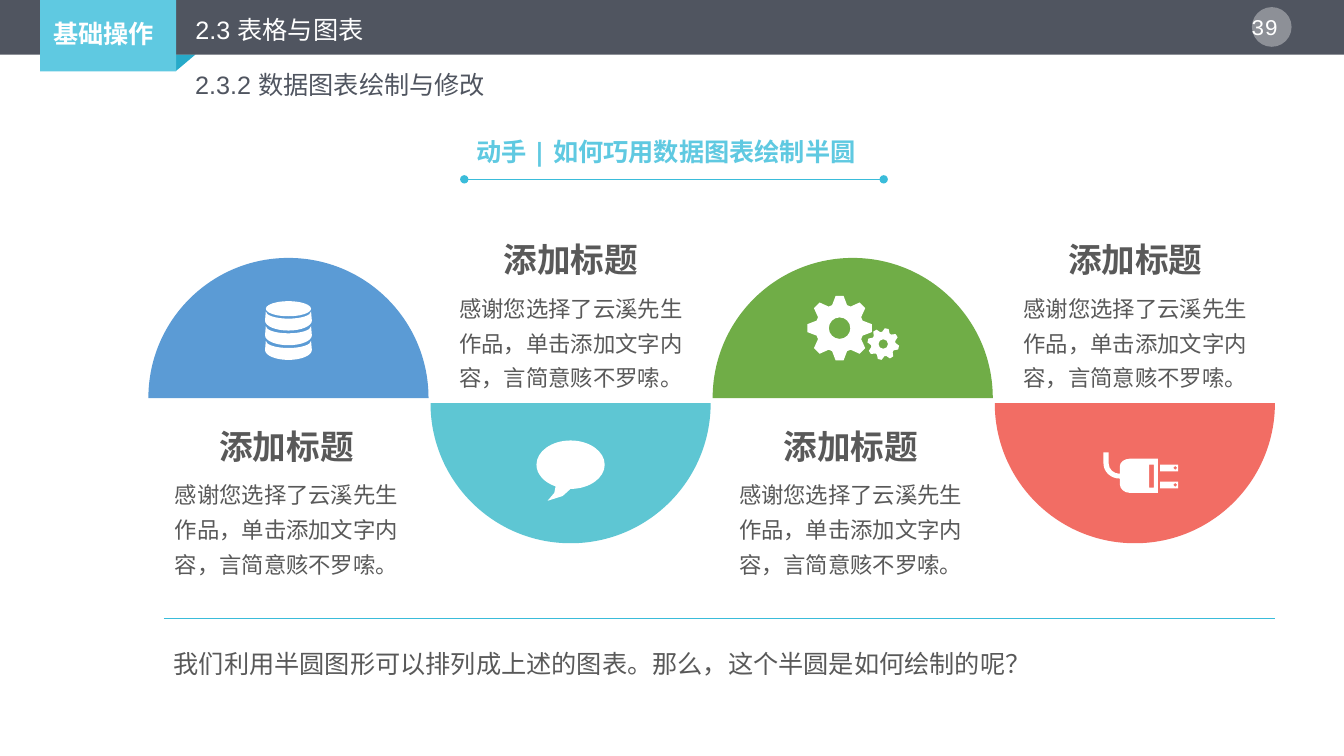
"""Build the slide on drawing half circles from data charts."""
from dataclasses import dataclass
from math import ceil, cos, radians, sin, tan
from pptx import Presentation
from pptx import util as u
from pptx.dml.color import RGBColor
from pptx.enum import lang, shapes, text
from pptx.oxml import ns, xmlchemy

TITLE = "2.3 表格与图表"
SUB = "2.3.2 数据图表绘制与修改"
TAG = "基础操作"
PAGE = "39"
HEAD = "动手 | 如何巧用数据图表绘制半圆"
NOTE = "我们利用半圆图形可以排列成上述的图表。那么，这个半圆是如何绘制的呢？"
BODY = "感谢您选择了云溪先生作品，单击添加文字内容，言简意赅不罗嗦。"
ITEMS = [
    ("添加标题", BODY, "5B9BD5", "disks"),
    ("添加标题", BODY, "5EC6D3", "bubble"),
    ("添加标题", BODY, "70AD47", "gears"),
    ("添加标题", BODY, "F26D64", "plug"),
]


@dataclass(frozen=True)
class Theme:
    """Colours, fonts and type sizes."""
    white: str = "FFFFFF"
    dark: str = "505560"
    grey: str = "595959"
    cyan: str = "5FC9E1"
    fold: str = "27AAC9"
    rule: str = "3ABCDA"
    latin: str = "Arial"
    wide: str = "Noto Sans CJK SC"
    open: str = "Open Sans"
    mono: str = "Courier New"
    big: int = 24
    mid: int = 18
    small: int = 16


T = Theme()
RADIUS, FIRST, STEP = 3.53, 7.27, 7.11
UPPER, LOWER = 10.03, 10.16

deck = Presentation()
deck.slide_width, deck.slide_height = u.Cm(33.87), u.Cm(19.05)
slide = deck.slides.add_slide(deck.slide_layouts[5])
items = slide.shapes


def paint(shape, color):
    """Give a shape a flat fill without line or shadow."""
    shape.shadow.inherit = False
    shape.fill.solid()
    shape.fill.fore_color.rgb = RGBColor.from_string(color)
    shape.line.fill.background()
    return shape


def block(kind, x, y, w, h, color):
    """Add a plain preset shape."""
    return paint(items.add_shape(kind, u.Cm(x), u.Cm(y), u.Cm(w), u.Cm(h)), color)


def write(box, words, size, color, font=T.latin, bold=False, space=None, center=False):
    """Fill a text shape with one styled run."""
    frame = box.text_frame
    frame.word_wrap = True
    frame.auto_size = text.MSO_AUTO_SIZE.NONE
    frame.vertical_anchor = text.MSO_ANCHOR.TOP
    para = frame.paragraphs[0]
    para.alignment = text.PP_ALIGN.CENTER if center else text.PP_ALIGN.LEFT
    if space:
        para.line_spacing = space
    run = para.add_run()
    run.text = words
    run.font.size, run.font.bold, run.font.name = u.Pt(size), bold, font
    run.font.language_id = lang.MSO_LANGUAGE_ID.SIMPLIFIED_CHINESE
    run.font.color.rgb = RGBColor.from_string(color)
    east = xmlchemy.OxmlElement("a:ea")
    east.set("typeface", T.wide)
    run.font._element.find(ns.qn("a:latin")).addnext(east)


def label(x, y, w, h, *args, **style):
    """Add a text box."""
    write(items.add_textbox(u.Cm(x), u.Cm(y), u.Cm(w), u.Cm(h)), *args, **style)


def rule(x, y, end, dots=False):
    """Add a thin level line, with round ends on request."""
    line = items.add_connector(shapes.MSO_CONNECTOR.STRAIGHT, u.Cm(x), u.Cm(y), u.Cm(end), u.Cm(y))
    line.line.width = u.Pt(0.5)
    line.line.color.rgb = RGBColor.from_string(T.rule)
    props = line._element.spPr
    props.append(xmlchemy.OxmlElement("a:effectLst"))
    for name in ("a:headEnd", "a:tailEnd") if dots else ():
        tip = xmlchemy.OxmlElement(name)
        tip.set("type", "oval")
        props.find(ns.qn("a:ln")).append(tip)


def arc(x, y, rx, ry, start, end):
    """List curve points along an ellipse; a third value marks each first handle."""
    count = ceil(abs(end - start) / 90)
    way = 90 if end > start else -90
    stops = [radians(start + way * i) for i in range(count)] + [radians(end)]
    out = [(x + rx * cos(stops[0]), y + ry * sin(stops[0]))]
    for a, b in zip(stops, stops[1:]):
        k = 4 / 3 * tan((b - a) / 4)
        out += [(x + rx * (cos(a) - k * sin(a)), y + ry * (sin(a) + k * cos(a)), True),
                (x + rx * (cos(b) + k * sin(b)), y + ry * (sin(b) - k * cos(b))),
                (x + rx * cos(b), y + ry * sin(b))]
    return out


def rect(x, y, end, base):
    """List the corners of a rectangle."""
    return [(x, y), (end, y), (end, base), (x, base)]


def bend(shape, marks):
    """Turn each marked point and the two after it into one curve."""
    tags = (ns.qn("a:moveTo"), ns.qn("a:lnTo"))
    nodes = list(shape._element.iter(*tags))
    for i, mark in enumerate(marks):
        if mark:
            curve = xmlchemy.OxmlElement("a:cubicBezTo")
            nodes[i].addprevious(curve)
            for node in nodes[i:i + 3]:
                curve.append(node[0])
                node.getparent().remove(node)


def draw(x, y, color, *loops):
    """Add one outline made of closed loops around a centre."""
    paths = [[(u.Cm(x + p[0]), u.Cm(y + p[1])) for p in loop] for loop in loops]
    marks = []
    pen = items.build_freeform(*paths[0][0], scale=1.0)
    for i, (loop, path) in enumerate(zip(loops, paths)):
        if i:
            pen.move_to(*path[0])
        pen.add_line_segments(path[1:] + path[:1], close=True)
        marks += [len(p) == 3 for p in loop] + [False]
    bend(paint(pen.convert_to_shape(), color), marks)


def disks(x, y):
    """Draw a stack of disks."""
    for i in range(3):
        top = -2.18 + 0.37 * i
        draw(x, y, T.white, arc(0, top, 0.57, 0.18, 0, 180)
             + arc(0, top + 0.23, 0.59, 0.25, 180, 0))
    block(shapes.MSO_SHAPE.OVAL, x - 0.57, y - 2.44, 1.14, 0.38, T.white)


def bubble(x, y):
    """Draw a speech bubble."""
    tail = [(-0.41, 2.26), (-0.58, 2.46), (-0.2, 2.34)]
    draw(x, y, T.white, arc(0, 1.55, 0.86, 0.61, 450, 116) + tail)


def gears(x, y):
    """Draw two toothed wheels."""
    for dx, dy, outer, inner, hole, turn in ((-0.33, -1.76, 0.82, 0.61, 0.27, 0),
                                             (0.77, -1.36, 0.4, 0.31, 0.12, 13)):
        teeth = [(r, radians(45 * i + turn + a)) for i in range(8)
                 for r, a in ((inner, -18), (outer, -7), (outer, 7), (inner, 18))]
        rim = [(dx + r * cos(a), dy + r * sin(a)) for r, a in teeth]
        draw(x, y, T.white, rim, arc(dx, dy, hole, hole, 360, 0))


def plug(x, y):
    """Draw a plug with cable and two prongs."""
    case = ([(-0.79, 1.24), (-0.66, 1.24)] + arc(-0.38, 1.52, 0.28, 0.26, 180, 90)
            + arc(-0.13, 1.6, 0.25, 0.2, 180, 270) + [(0.58, 1.4), (0.58, 2.26)]
            + arc(-0.13, 2.03, 0.25, 0.23, 90, 180) + arc(-0.38, 1.52, 0.41, 0.38, 90, 180))
    draw(x, y, T.white, case, rect(0.36, 1.55, 0.48, 2.13)[::-1])
    for top in (1.55, 1.98):
        draw(x, y, T.white, rect(0.64, top, 1.09, top + 0.17),
             arc(1.02, top + 0.08, 0.05, 0.05, 360, 0))


ICONS = {"disks": disks, "bubble": bubble, "gears": gears, "plug": plug}


def main():
    """Lay out the slide and save it."""
    kind = shapes.MSO_SHAPE
    block(kind.ISOSCELES_TRIANGLE, 3.96, 1.37, 0.97, 0.41, T.fold).rotation = 180
    block(kind.RECTANGLE, 0, 0, 33.87, 1.38, T.dark)
    block(kind.RECTANGLE, 1.01, 0, 3.43, 1.8, T.cyan)
    disc = block(kind.OVAL, 31.55, 0.18, 1, 1, T.white)
    alpha = xmlchemy.OxmlElement("a:alpha")
    alpha.set("val", "35000")
    disc._element.spPr.find(".//" + ns.qn("a:srgbClr")).append(alpha)
    label(30.97, 0.2, 1.8, 0.94, PAGE, T.small, T.white, font=T.mono, center=True)
    label(1.09, 0.33, 3.3, 1.02, TAG, T.mid, T.white, bold=True)
    title = items.title
    title.left, title.top, title.width, title.height = map(u.Cm, (4.67, 0.08, 29.2, 1.17))
    write(title, TITLE, T.mid, T.white, space=1.2)
    title._element.getparent().append(title._element)
    label(4.67, 1.63, 7.9, 1.02, SUB, T.mid, T.dark)
    for i, (name, body, color, icon) in enumerate(ITEMS):
        x, down = FIRST + STEP * i, i % 2
        y, top, inset = (LOWER, 5.7, 3.1) if down else (UPPER, 10.4, 3.16)
        draw(x, y, color, arc(0, 0, RADIUS, RADIUS, *((0, 180) if down else (180, 360))))
        ICONS[icon](x, y)
        label(x - inset, top, 6.22, 1.4, name, T.big, T.grey, bold=True, space=1.2, center=True)
        label(x - inset, top + 1.4, 6.22, 2.92, body, T.small, T.grey, space=1.3, center=True)
    rule(4.13, 15.59, 32.13)
    label(4.13, 16.05, 28.5, 1.09, NOTE, T.mid, T.grey, font=T.wide, space=1.2)
    label(11.76, 3.3, 10.6, 1.02, HEAD, T.mid, T.cyan, font=T.open, bold=True)
    rule(11.7, 4.52, 22.27, dots=True)
    deck.save("out.pptx")


if __name__ == "__main__":
    main()
